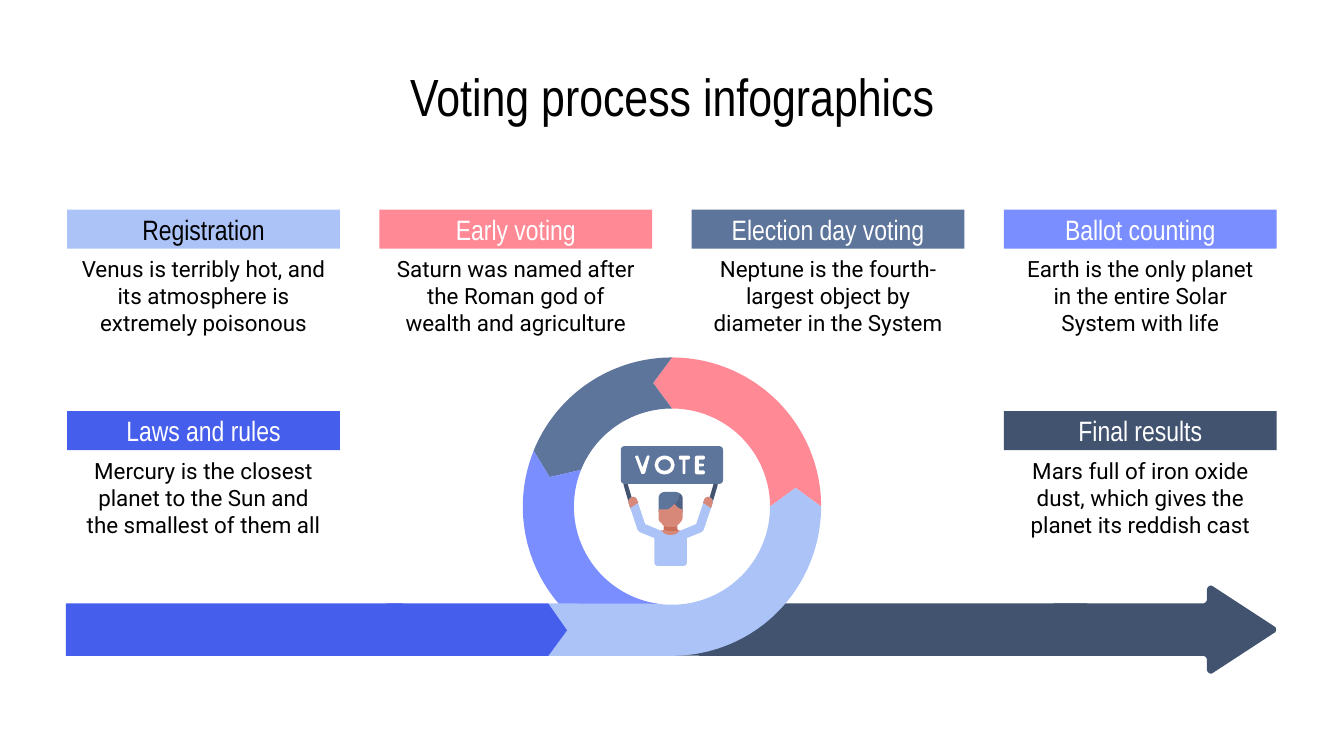
"""Build the voting process infographic slide."""
from dataclasses import dataclass
from math import cos, radians, sin

from lxml import etree
from pptx import Presentation
from pptx.dml.color import RGBColor
from pptx.enum.shapes import MSO_SHAPE
from pptx.enum.text import MSO_ANCHOR, MSO_AUTO_SIZE, PP_ALIGN
from pptx.oxml.ns import qn
from pptx.util import Inches, Pt

Point = tuple[float, float]

RECT, ROUNDED, DONUT = MSO_SHAPE.RECTANGLE, MSO_SHAPE.ROUNDED_RECTANGLE, MSO_SHAPE.DONUT
TOP, MIDDLE = MSO_ANCHOR.TOP, MSO_ANCHOR.MIDDLE
CENTER, NO_FIT = PP_ALIGN.CENTER, MSO_AUTO_SIZE.NONE

BLACK = RGBColor(0x00, 0x00, 0x00)
WHITE = RGBColor(0xFF, 0xFF, 0xFF)
SKY = RGBColor(0xAC, 0xC3, 0xF8)
CORAL = RGBColor(0xFF, 0x89, 0x95)
SLATE = RGBColor(0x5D, 0x74, 0x9B)
VIOLET = RGBColor(0x7B, 0x8E, 0xFF)
BLUE = RGBColor(0x46, 0x5E, 0xEC)
NAVY = RGBColor(0x42, 0x53, 0x70)
SKIN = RGBColor(0xD7, 0x88, 0x78)
SKIN_SHADE = RGBColor(0xCA, 0x6E, 0x59)

HEAD_FONT, BODY_FONT = "Arial Narrow", "Roboto"
LEFT, CARD_W, COL_STEP = 0.5, 2.03, 6.97 / 3
ROWS = (1.56, 3.06)
RING_X, RING_Y, OUTER, INNER = 5, 3.77, 1.11, 0.73
BAR_TOP, BAR_BOTTOM = 4.49, 4.88
PERSON_X = 4.99
TIP_TOP, TIP_LEFT, TIP_RIGHT = (4.86, 2.85), (4.09, 3.55), (5.92, 3.63)
BLUE_TIP = [(4.08, BAR_TOP), (4.22, 4.69), (4.08, BAR_BOTTOM)]


@dataclass(frozen=True)
class Card:
    col: int
    row: int
    title: str
    body: str
    fill: RGBColor
    color: RGBColor = WHITE


CARDS = [
    Card(0, 0, "Registration", "Venus is terribly hot, and its atmosphere is extremely poisonous", SKY, BLACK),
    Card(0, 1, "Laws and rules", "Mercury is the closest planet to the Sun and the smallest of them all", BLUE),
    Card(3, 0, "Ballot counting", "Earth is the only planet in the entire Solar System with life", VIOLET),
    Card(3, 1, "Final results", "Mars full of iron oxide dust, which gives the planet its reddish cast", NAVY),
    Card(2, 0, "Election day voting", "Neptune is the fourth-largest object by diameter in the System", SLATE),
    Card(1, 0, "Early voting", "Saturn was named after the Roman god of wealth and agriculture", CORAL),
]

ARROW = ("M 7.84 4.49 C 7.63 4.73 7.33 4.88 6.99 4.88 L 8.95 4.88 C 8.96 4.88 8.98 4.89 8.98 4.91 "
         "L 8.98 4.98 C 8.98 5 9 5.02 9.02 5.01 L 9.48 4.71 C 9.5 4.7 9.5 4.67 9.48 4.66 "
         "L 9.02 4.36 C 9 4.35 8.98 4.37 8.98 4.39 L 8.98 4.46 C 8.98 4.48 8.96 4.49 8.95 4.49")
STICK = ("M 4.65 3.59 C 4.64 3.59 4.64 3.6 4.64 3.61 L 4.69 3.78 C 4.7 3.79 4.72 3.79 4.72 3.77 "
         "L 4.67 3.6 C 4.67 3.59 4.66 3.59 4.65 3.59")
HAND = ("M 4.74 3.72 C 4.74 3.71 4.72 3.69 4.7 3.7 C 4.68 3.71 4.67 3.73 4.68 3.75 "
        "L 4.69 3.78 L 4.75 3.74")
HALF_BODY = ("M 4.99 4.21 L 4.89 4.21 C 4.88 4.21 4.87 4.2 4.87 4.19 L 4.87 4.02 "
             "C 4.87 4.01 4.87 4 4.86 4 L 4.76 3.96 C 4.75 3.95 4.74 3.94 4.74 3.93 L 4.68 3.75 "
             "C 4.67 3.73 4.68 3.71 4.7 3.7 C 4.72 3.69 4.74 3.71 4.74 3.72 L 4.8 3.9 L 4.92 3.95 "
             "C 4.94 3.95 4.94 3.94 4.94 3.93 L 4.94 3.91")
HALF_COLLAR = ("M 4.94 3.91 L 4.94 3.93 C 4.94 3.94 4.94 3.95 4.92 3.95 L 4.92 3.94 "
               "C 4.93 3.97 4.96 3.98 4.98 3.98")
HAIR = ("M 4.95 3.66 C 4.92 3.66 4.9 3.68 4.9 3.71 L 4.9 3.81 L 5.08 3.81 L 5.08 3.71 "
        "C 5.08 3.68 5.05 3.66 5.02 3.66")
HAIR_SHADE = ("M 5.06 3.67 C 5.06 3.68 5.05 3.71 5.04 3.73 C 5.03 3.74 5.03 3.75 5.02 3.75 "
              "L 5.02 3.81 L 5.08 3.81 L 5.08 3.71 C 5.08 3.7 5.07 3.68 5.06 3.67")
NECK_SHADE = "M 4.94 3.91 L 4.94 3.94 C 4.95 3.95 4.97 3.95 4.98 3.95 L 5.05 3.95 L 5.03 3.93 L 5.03 3.91"
FACE = ("M 5.02 3.75 C 5.01 3.76 4.99 3.78 4.97 3.79 L 4.9 3.79 L 4.9 3.85 "
        "C 4.9 3.86 4.9 3.88 4.92 3.89 C 4.93 3.91 4.95 3.92 4.96 3.92 L 5.01 3.92 "
        "C 5.03 3.92 5.04 3.91 5.06 3.89 C 5.07 3.88 5.08 3.86 5.08 3.85 L 5.08 3.79 "
        "C 5.06 3.79 5.03 3.77 5.02 3.75")
LETTERS = [
    ("M 5.19 3.39 C 5.18 3.39 5.17 3.4 5.17 3.4 L 5.17 3.52 C 5.17 3.52 5.18 3.53 5.19 3.53 L 5.23 3.53 "
     "C 5.25 3.53 5.25 3.5 5.23 3.5 L 5.2 3.5 L 5.2 3.47 L 5.23 3.47 C 5.24 3.47 5.24 3.45 5.23 3.45 "
     "L 5.2 3.45 L 5.2 3.42 L 5.23 3.42 C 5.25 3.42 5.25 3.39 5.23 3.39"),
    ("M 4.74 3.39 C 4.73 3.39 4.72 3.4 4.73 3.41 L 4.77 3.52 C 4.77 3.53 4.79 3.53 4.8 3.52 "
     "L 4.83 3.41 C 4.84 3.39 4.82 3.38 4.81 3.4 L 4.78 3.48 L 4.75 3.4 C 4.75 3.39 4.74 3.39 4.74 3.39"),
    ("M 5.06 3.39 C 5.05 3.39 5.05 3.42 5.06 3.42 L 5.08 3.42 L 5.08 3.52 C 5.08 3.53 5.1 3.53 5.1 3.52 "
     "L 5.1 3.42 L 5.12 3.42 C 5.14 3.42 5.14 3.39 5.12 3.39"),
]


def outline(path: str, steps: int = 8) -> list[Point]:
    """Turn M, L and C commands into points along the outline."""
    points: list[Point] = []
    for part in path.replace("M", "|").replace("L", "|").replace("C", "|").split("|")[1:]:
        n = [float(v) for v in part.split()]
        ends = list(zip(n[::2], n[1::2]))
        if len(ends) == 1:
            points += ends
            continue
        curve = [points[-1], *ends]
        for i in range(1, steps + 1):
            t = i / steps
            weights = ((1 - t) ** 3, 3 * t * (1 - t) ** 2, 3 * t * t * (1 - t), t ** 3)
            points.append(tuple(sum(w * c[k] for w, c in zip(weights, curve)) for k in (0, 1)))
    return points


def arc(radius: float, start: int, end: int) -> list[Point]:
    """Return points on the ring, with degrees running clockwise from the right."""
    step = 2 if end > start else -2
    angles = [radians(a) for a in (*range(start, end, step), end)]
    return [(RING_X + radius * cos(a), RING_Y + radius * sin(a)) for a in angles]


def mirror(points: list[Point]) -> list[Point]:
    """Reflect points across the middle of the person, in reverse order."""
    return [(2 * PERSON_X - x, y) for x, y in reversed(points)]


def paint(sp, fill: RGBColor):
    """Give a shape a flat fill without line or shadow."""
    sp.shadow.inherit = False
    sp.fill.solid()
    sp.fill.fore_color.rgb = fill
    sp.line.fill.background()
    return sp


def add_outline(s, points: list[Point], fill: RGBColor):
    """Draw a closed filled outline."""
    pts = [(Inches(x), Inches(y)) for x, y in points]
    builder = s.shapes.build_freeform(*pts[0])
    builder.add_line_segments(pts[1:], close=True)
    return paint(builder.convert_to_shape(), fill)


def add_preset(s, kind, box: tuple[float, ...], fill: RGBColor):
    """Draw a filled preset shape."""
    return paint(s.shapes.add_shape(kind, *map(Inches, box)), fill)


def set_text(sp, text: str, size: int, font: str, color: RGBColor, top: float, anchor=TOP) -> None:
    """Write one centred paragraph into a shape."""
    tf = sp.text_frame
    frame = {"word_wrap": True, "auto_size": NO_FIT, "vertical_anchor": anchor, "margin_top": Inches(top),
             "margin_left": Inches(0.1), "margin_right": Inches(0.1), "margin_bottom": Inches(0.1)}
    for name, value in frame.items():
        setattr(tf, name, value)
    p = tf.paragraphs[0]
    p.alignment = CENTER
    r = p.add_run()
    r.text = text
    for name, value in {"size": Pt(size), "name": font, "bold": False}.items():
        setattr(r.font, name, value)
    r.font.color.rgb = color


def add_card(s, card: Card) -> None:
    """Draw a heading bar with its description."""
    x, y = LEFT + card.col * COL_STEP, ROWS[card.row]
    sp = add_preset(s, RECT, (x, y, CARD_W, 0.29), card.fill)
    set_text(sp, card.title, 15, HEAD_FONT, card.color, 0.02)
    sp = s.shapes.add_textbox(*map(Inches, (x, y + 0.32, CARD_W, 0.7)))
    set_text(sp, card.body, 12, BODY_FONT, BLACK, 0.02)


def add_track(s) -> None:
    """Draw the looping arrow."""
    add_preset(s, RECT, (4.88, 4.71, 1.23, 0.17), NAVY)
    add_preset(s, RECT, (5.2, BAR_TOP, 2.89, 0.39), NAVY)
    pieces = [
        (arc(OUTER, 270, 360) + [TIP_RIGHT] + arc(INNER, 360, 270) + [TIP_TOP], CORAL),
        (arc(OUTER, 202, 270) + [TIP_TOP] + arc(INNER, 270, 202) + [TIP_LEFT], SLATE),
        (arc(OUTER, 202, 139) + arc(INNER, 98, 202) + [TIP_LEFT], VIOLET),
        ([TIP_RIGHT] + arc(INNER, 0, 98) + BLUE_TIP + arc(OUTER, 90, 0), SKY),
        ([(2.88, BAR_BOTTOM), (2.88, BAR_TOP)] + BLUE_TIP, BLUE),
        (outline(ARROW), NAVY),
    ]
    for points, fill in pieces:
        add_outline(s, points, fill)
    add_preset(s, RECT, (0.49, BAR_TOP, 2.51, 0.39), BLUE)


def add_voter(s) -> None:
    """Draw the person holding up a sign."""
    stick, hand = outline(STICK), outline(HAND)
    body, collar = outline(HALF_BODY), outline(HALF_COLLAR)
    for points in (mirror(stick), stick):
        add_outline(s, points, NAVY)
    add_preset(s, ROUNDED, (4.62, 3.32, 0.76, 0.28), SLATE).adjustments[0] = 0.09
    for letter in LETTERS:
        add_outline(s, outline(letter), WHITE)
    add_preset(s, DONUT, (4.87, 3.39, 0.15, 0.14), WHITE).adjustments[0] = 0.19
    add_outline(s, body + mirror(body), SKY)
    add_outline(s, collar + mirror(collar), SKIN)
    add_outline(s, outline(HAIR), SLATE)
    shade = add_outline(s, outline(HAIR_SHADE), BLACK)
    etree.SubElement(next(shade._element.spPr.iter(qn("a:srgbClr"))), qn("a:alpha"), val="15000")
    add_outline(s, outline(NECK_SHADE), SKIN_SHADE)
    for points in (outline(FACE), mirror(hand), hand):
        add_outline(s, points, SKIN)


def main() -> None:
    """Build and save the slide."""
    prs = Presentation()
    prs.slide_width = Inches(10)
    prs.slide_height = prs.slide_width * 9 // 16
    s = prs.slides.add_slide(prs.slide_layouts[5])
    add_track(s)
    title = s.shapes.title
    title.left, title.top, title.width, title.height = map(Inches, (LEFT, 0.45, 9, 0.53))
    set_text(title, "Voting process infographics", 28, HEAD_FONT, BLACK, 0.1, MIDDLE)
    for card in CARDS:
        add_card(s, card)
    add_voter(s)
    prs.save("out.pptx")


if __name__ == "__main__":
    main()
